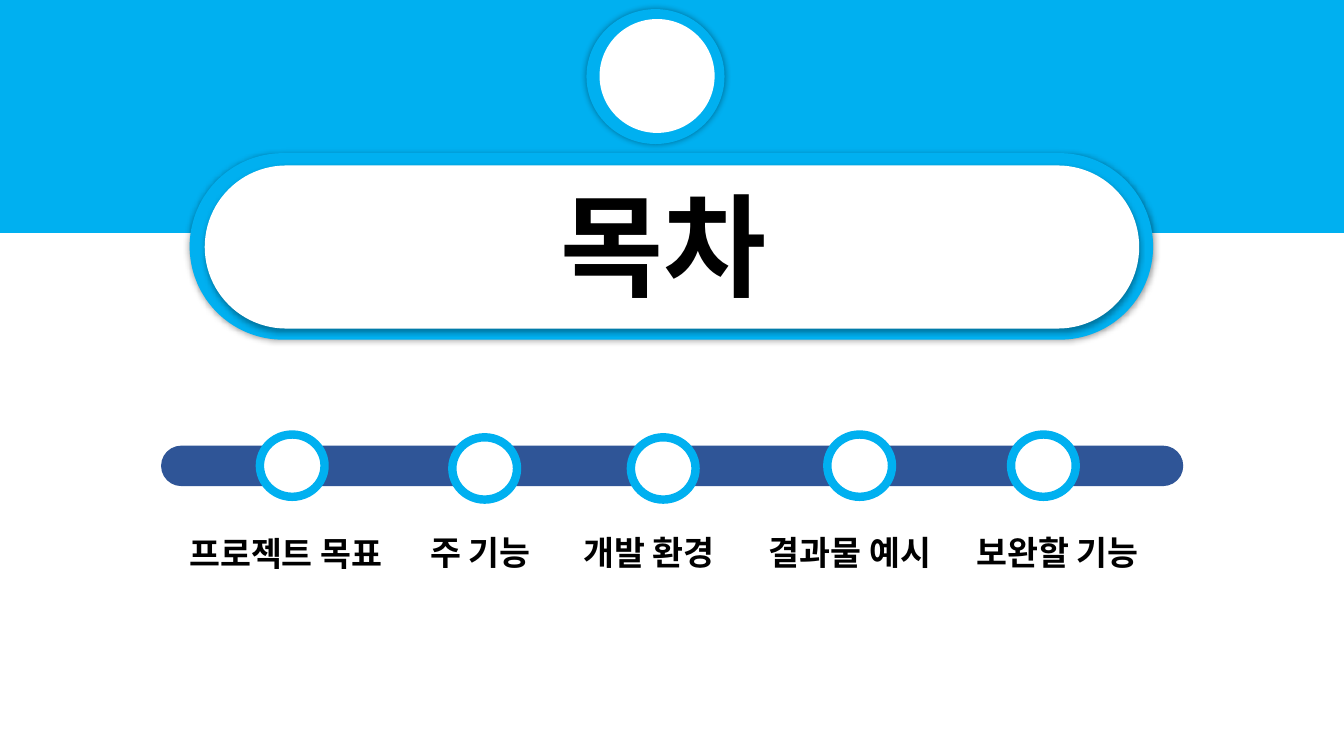
import dataclasses

import lxml.etree
import pptx
import pptx.dml.color
import pptx.enum.shapes
import pptx.enum.text
import pptx.oxml
import pptx.oxml.ns
import pptx.util

Cm = pptx.util.Cm
Pt = pptx.util.Pt
qn = pptx.oxml.ns.qn
PRESET = pptx.enum.shapes.MSO_SHAPE


@dataclasses.dataclass(frozen=True)
class Theme:
    """Colours, font and sizes of the slide."""
    sky: str = "00B0F0"
    navy: str = "2F5597"
    white: str = "FFFFFF"
    black: str = "000000"
    font: str = "Noto Sans CJK KR"
    title_size: int = 80
    label_size: int = 24
    ring_width: int = 6


THEME = Theme()
SLIDE_WIDTH, SLIDE_HEIGHT = 33.87, 19.05
MARKER_SIZE = (1.63, 1.57)
LABEL_HEIGHT = 1.27
HALO = (40, 5)
MILESTONES = [
    ("프로젝트 목표", (6.55, 10.95), (4.52, 13.31), 5.82),
    ("주 기능", (11.4, 11.02), (10.59, 13.28), 3.3),
    ("개발 환경", (15.9, 11.02), (14.45, 13.28), 4.14),
    ("결과물 예시", (20.85, 10.95), (19.13, 13.28), 4.98),
    ("보완할 기능", (25.48, 10.95), (24.36, 13.28), 4.98),
]


def rgb(colour):
    """Turn a hex string into a colour."""
    return pptx.dml.color.RGBColor.from_string(colour)


def add_shadow(shape, alpha, blur, distance=0, direction=0):
    """Give a shape a soft outer shadow."""
    effects = shape.element.spPr.find(qn("a:effectLst"))
    effects.append(pptx.oxml.parse_xml(
        f'<a:outerShdw {pptx.oxml.ns.nsdecls("a")} blurRad="{Pt(blur)}" '
        f'dist="{Pt(distance)}" dir="{direction * 60000}" algn="ctr" rotWithShape="0">'
        f'<a:srgbClr val="{THEME.black}"><a:alpha val="{alpha * 1000}"/></a:srgbClr>'
        '</a:outerShdw>'))


def add_figure(slide, preset, box, fill, ring=None, shadow=None):
    """Draw a filled preset shape with an optional ring and shadow."""
    figure = slide.shapes.add_shape(preset, *map(Cm, box))
    figure.shadow.inherit = False
    figure.fill.solid()
    figure.fill.fore_color.rgb = rgb(fill)
    if preset == PRESET.ROUNDED_RECTANGLE:
        figure.adjustments[0] = 0.5
    if ring:
        figure.line.color.rgb = rgb(ring)
        figure.line.width = Pt(THEME.ring_width)
    else:
        figure.line.fill.background()
    if shadow:
        add_shadow(figure, *shadow)


def write_text(shape, text, *, size, colour=THEME.black, bold=True):
    """Write left-aligned text in a shape that fits its text."""
    frame = shape.text_frame
    frame.word_wrap = False
    frame.auto_size = pptx.enum.text.MSO_AUTO_SIZE.SHAPE_TO_FIT_TEXT
    frame.vertical_anchor = pptx.enum.text.MSO_ANCHOR.TOP
    paragraph = frame.paragraphs[0]
    paragraph.alignment = pptx.enum.text.PP_ALIGN.LEFT
    run = paragraph.add_run()
    run.text = text
    run.font.size = Pt(size)
    run.font.bold = bold
    run.font.color.rgb = rgb(colour)
    run.font.name = THEME.font
    for properties in shape.element.iter(qn("a:rPr")):
        lxml.etree.SubElement(properties, qn("a:ea"), typeface=THEME.font)


def add_header(slide):
    """Draw the top band, the title capsule and the round badge."""
    add_figure(slide, PRESET.RECTANGLE, (0, 0, SLIDE_WIDTH, 5.87), THEME.sky)
    add_figure(slide, PRESET.ROUNDED_RECTANGLE, (4.78, 3.86, 24.28, 4.7),
               THEME.sky, shadow=HALO)
    add_figure(slide, PRESET.ROUNDED_RECTANGLE, (5.16, 4.17, 23.55, 4.11),
               THEME.white, shadow=(32, 3.5, 2.2, 90))
    add_figure(slide, PRESET.OVAL, (14.78, 0.23, 3.48, 3.4), THEME.sky, shadow=HALO)
    add_figure(slide, PRESET.OVAL, (15.11, 0.48, 2.9, 2.87), THEME.white)


def add_title(slide, text):
    """Fill the title placeholder and bring it in front of the capsule."""
    title = slide.shapes.title
    title.left, title.top, title.width, title.height = map(Cm, (13.87, 4.32, 6.1, 3.68))
    write_text(title, text, size=THEME.title_size)
    title.element.getparent().append(title.element)


def add_milestone(slide, text, marker_at, label_at, label_width):
    """Draw one ring on the timeline and its label."""
    add_figure(slide, PRESET.OVAL, marker_at + MARKER_SIZE, THEME.white, ring=THEME.sky)
    label = slide.shapes.add_textbox(*map(Cm, label_at + (label_width, LABEL_HEIGHT)))
    write_text(label, text, size=THEME.label_size)


def main():
    """Build the contents slide."""
    deck = pptx.Presentation()
    deck.slide_width, deck.slide_height = Cm(SLIDE_WIDTH), Cm(SLIDE_HEIGHT)
    slide = deck.slides.add_slide(deck.slide_layouts.get_by_name("Title Only"))
    add_header(slide)
    add_title(slide, "목차")
    add_figure(slide, PRESET.ROUNDED_RECTANGLE, (4.06, 11.23, 25.76, 1.02), THEME.navy)
    for milestone in MILESTONES:
        add_milestone(slide, *milestone)
    deck.save("out.pptx")


if __name__ == "__main__":
    main()
